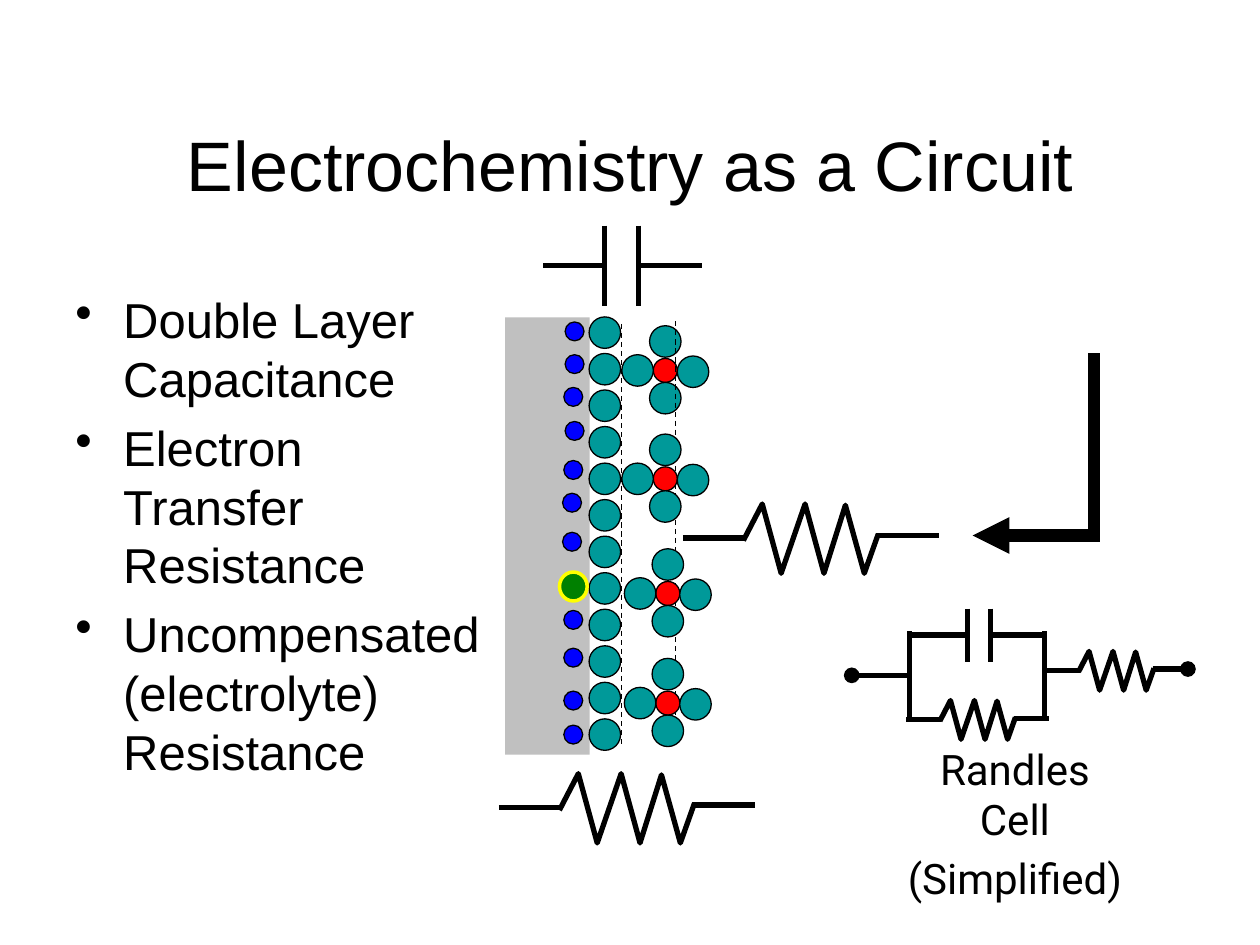
import dataclasses
import pptx
import pptx.util
import pptx.dml.color
import pptx.enum.dml
import pptx.enum.shapes
import pptx.enum.text
import pptx.oxml
import pptx.oxml.ns


@dataclasses.dataclass(frozen=True)
class Theme:
    black: str = "000000"
    electrode: str = "C0C0C0"
    solvent: str = "009999"
    ion: str = "FF0000"
    electron: str = "0000FF"
    reactant: str = "008000"
    highlight: str = "FFFF00"
    font: str = "Arial"
    caption_font: str = "Roboto"
    title_size: int = 40
    body_size: int = 28
    caption_size: int = 24
    thin: float = 0.75
    outline: float = 2
    wire: float = 3
    arrow: float = 7


def length(inches):
    return pptx.util.Cm(inches * 2.54)


def color(value):
    return pptx.dml.color.RGBColor.from_string(value)


def add_element(parent, tag, **attributes):
    child = parent.makeelement(pptx.oxml.ns.qn(tag), attributes)
    parent.append(child)


class Sketch:
    ZIGZAG = [(0, .29), (.15, 0), (.3, .55), (.49, 0), (.64, .55), (.81, .01), (.96, .55), (1.07, .24)]

    def __init__(self, page, theme):
        self.page = page
        self.theme = theme

    def fill_text(self, box, texts, size, font, align, before=0):
        frame = box.text_frame
        frame.word_wrap = True
        frame.text = "\n".join(texts)
        for para in frame.paragraphs:
            para.alignment = align
            para.space_before = pptx.util.Pt(before)
            para.font.size = pptx.util.Pt(size)
            para.font.name = font
            para.font.color.rgb = color(self.theme.black)
        return frame

    def title(self, text, *bounds):
        box = self.page.shapes.title
        box.left, box.top, box.width, box.height = map(length, bounds)
        frame = self.fill_text(box, [text], self.theme.title_size, self.theme.font,
                               pptx.enum.text.PP_ALIGN.CENTER)
        frame.vertical_anchor = pptx.enum.text.MSO_ANCHOR.MIDDLE

    def text(self, texts, size, font, align, *bounds):
        box = self.page.shapes.add_textbox(*map(length, bounds))
        return self.fill_text(box, texts, size, font, align, size * 0.2)

    def bullets(self, texts, *bounds):
        frame = self.text(texts, self.theme.body_size, self.theme.font, pptx.enum.text.PP_ALIGN.LEFT, *bounds)
        for para in frame.paragraphs:
            properties = para._p.get_or_add_pPr()
            properties.set("marL", str(length(0.38)))
            properties.set("indent", str(-length(0.38)))
            position = list(properties).index(properties.find(pptx.oxml.ns.qn("a:defRPr")))
            add_element(properties, "a:buChar", char="•")
            properties.insert(position, properties[-1])

    def shape(self, kind, fill, left, top, width, height, line=None, weight=0.75):
        shape = self.page.shapes.add_shape(kind, *map(length, (left, top, width, height)))
        shape.shadow.inherit = False
        shape.fill.solid()
        shape.fill.fore_color.rgb = color(fill)
        if line:
            shape.line.color.rgb = color(line)
            shape.line.width = pptx.util.Pt(weight)
        else:
            shape.line.fill.background()

    def circle(self, fill, x, y, size):
        self.shape(pptx.enum.shapes.MSO_SHAPE.OVAL, fill, x - size / 2, y - size / 2, size, size,
                   self.theme.black, self.theme.thin)

    def line(self, x1, y1, x2, y2, weight=None, dashed=False, head=None, tail=None):
        line = self.page.shapes.add_connector(
            pptx.enum.shapes.MSO_CONNECTOR.STRAIGHT, *map(length, (x1, y1, x2, y2)))
        line.line.color.rgb = color(self.theme.black)
        line.line.width = pptx.util.Pt(weight or self.theme.wire)
        if dashed:
            line.line.dash_style = pptx.enum.dml.MSO_LINE.DASH
        properties = line._element.spPr.find(pptx.oxml.ns.qn("a:ln"))
        for tag, end in (("a:headEnd", head), ("a:tailEnd", tail)):
            if end:
                add_element(properties, tag, type=end)
        add_element(line._element.spPr, "a:effectLst")

    def resistor(self, left, top, scale=1.0, tail=None):
        def at(x, y):
            return left + x * scale, top + y * scale

        self.line(*at(-.48, .27), *at(.02, .27))
        points = [tuple(map(length, at(*point))) for point in self.ZIGZAG]
        builder = self.page.shapes.build_freeform(*points[0])
        builder.add_line_segments(points[1:], close=False)
        zigzag = builder.convert_to_shape()
        zigzag.shadow.inherit = False
        zigzag.fill.background()
        zigzag.line.color.rgb = color(self.theme.black)
        zigzag.line.width = pptx.util.Pt(self.theme.wire)
        self.line(*at(1.05, .25), *at(1.55, .25), tail=tail)

    def capacitor(self, left, y, first, second, right, plate):
        self.line(left, y, first, y)
        self.line(second, y, right, y)
        for x in (first, second):
            self.line(x, y - plate / 2, x, y + plate / 2)

    def solvated_ion(self, x, y):
        self.circle(self.theme.ion, x, y, 0.19)
        for dx, dy in ((0, -.23), (-.22, 0), (0, .22), (.22, .01)):
            self.circle(self.theme.solvent, x + dx, y + dy, 0.25)


theme = Theme()
deck = pptx.Presentation()
deck.slide_width, deck.slide_height = length(10), length(7.5)
page = deck.slides.add_slide(deck.slide_layouts[5])
sketch = Sketch(page, theme)

sketch.title("Electrochemistry as a Circuit", 0.75, 0.67, 8.5, 1.25)
sketch.bullets(["Double Layer Capacitance", "Electron Transfer Resistance",
                "Uncompensated (electrolyte) Resistance"], 0.5, 2.25, 3.5, 4.92)

sketch.shape(pptx.enum.shapes.MSO_SHAPE.RECTANGLE, theme.electrode, 4.01, 2.52, 0.67, 3.47)
for pair in range(6):
    for start in (2.64, 2.93):
        sketch.circle(theme.solvent, 4.8, start + pair * 0.58, 0.25)
sketch.solvated_ion(5.28, 2.94)
for x, top in ((4.93, 2.57), (5.36, 2.55)):
    sketch.line(x, top, x, top + 3.34, theme.thin, dashed=True)
for x, y in ((5.28, 3.8), (5.3, 4.71), (5.3, 5.58)):
    sketch.solvated_ion(x, y)
for x, y in ((4.56, 2.63), (4.56, 2.89), (4.55, 3.15), (4.56, 3.42), (4.55, 3.73), (4.54, 3.99),
             (4.54, 4.3), (4.55, 4.92), (4.55, 5.22), (4.55, 5.56), (4.55, 5.83)):
    sketch.circle(theme.electron, x, y, 0.15)

sketch.line(8.73, 4.25, 7.72, 4.25, theme.arrow, tail="triangle")
sketch.line(8.68, 4.26, 8.68, 2.8, theme.arrow)

sketch.capacitor(4.31, 2.11, 4.8, 5.07, 5.57, 0.64)
sketch.resistor(5.9, 4)
sketch.resistor(4.44, 6.14)

sketch.resistor(8.56, 5.17, 0.56, tail="oval")
sketch.resistor(7.46, 5.56, 0.56)
sketch.capacitor(7.21, 5.04, 7.68, 7.86, 8.29, 0.42)
for x in (7.22, 8.29):
    sketch.line(x, 5.72, x, 5.01)
sketch.line(6.76, 5.36, 7.23, 5.36, head="oval")
sketch.text(["Randles Cell", "(Simplified)"], theme.caption_size, theme.caption_font,
            pptx.enum.text.PP_ALIGN.CENTER, 7.06, 5.85, 1.99, 0.98)
sketch.shape(pptx.enum.shapes.MSO_SHAPE.OVAL, theme.reactant, 4.44, 4.54, 0.22, 0.23,
             theme.highlight, theme.outline)

deck.save("out.pptx")
